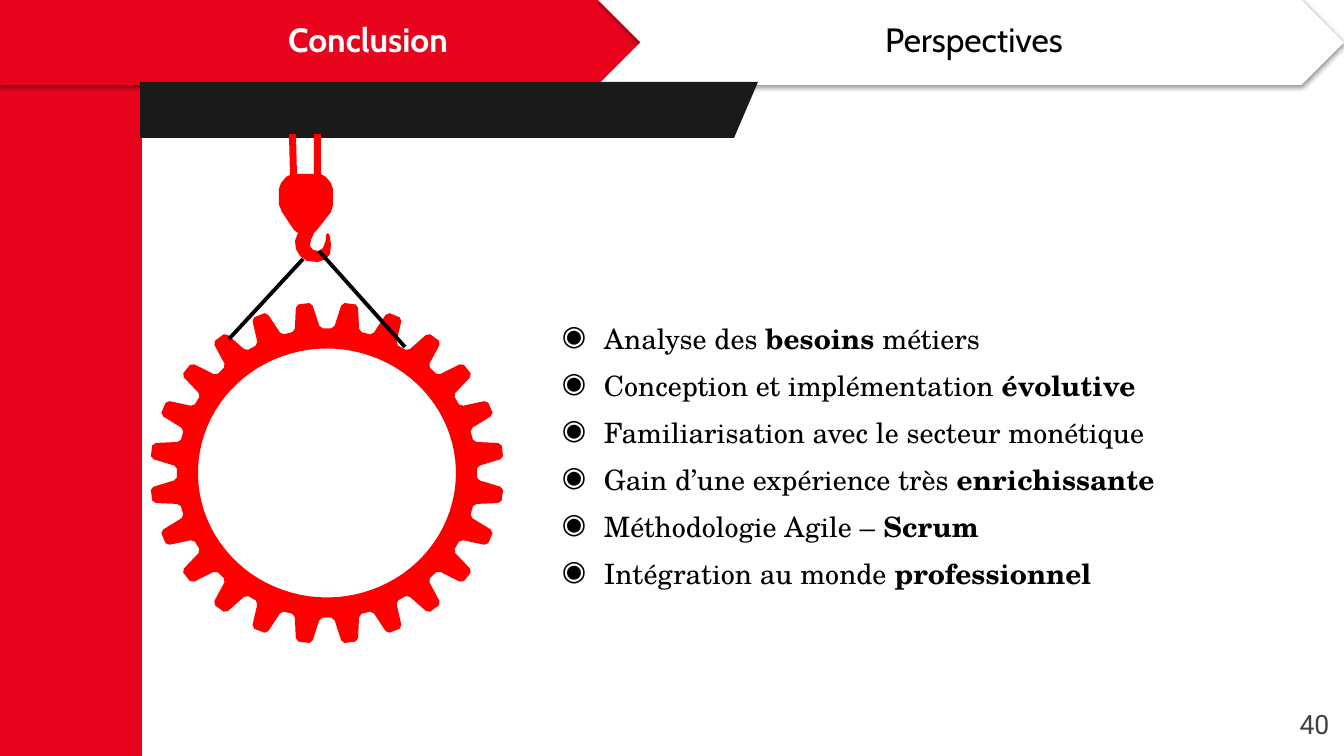
from math import cos, radians, sin

from lxml.etree import SubElement
from pptx import Presentation
from pptx.dml.color import RGBColor
from pptx.enum.shapes import MSO_CONNECTOR as Connector, MSO_SHAPE as Shape
from pptx.enum.text import MSO_ANCHOR as Anchor, PP_ALIGN as Align
from pptx.oxml.ns import qn
from pptx.util import Pt

PX = 914400 / 100.8
COLORS = {
    "banner": "E9041E",
    "white": "FFFFFF",
    "beam": "1A1A1A",
    "gear": "FF0000",
    "ink": "010101",
    "body": "000000",
    "number": "414141",
}
BEAM = [(140, 82), (758, 82), (734, 138), (140, 138)]
HOOK = [
    (289, 134), (296, 134), (297, 174), (314, 174), (314, 134), (321, 134),
    (321, 174), (326, 177), (331, 183), (333, 189), (333, 205), (331, 212),
    (317, 230), (314, 233), (311, 240), (310, 246), (313, 250), (319, 251),
    (323, 248), (326, 240), (326, 235), (328, 233), (330, 236), (331, 245),
    (330, 254), (326, 259), (318, 262), (307, 261), (300, 256), (296, 249),
    (295, 241), (298, 233), (294, 230), (282, 212), (279, 205), (279, 189),
    (281, 183), (286, 177), (290, 175),
]
GEAR_CENTER = (327, 473)
GEAR_FLATTENING = 0.965
TOOTH_COUNT = 24
TOOTH_PROFILE = [
    (-5.8, 150), (-4.6, 153), (-3.2, 169), (-2.8, 174), (-1.8, 177),
    (1.8, 177), (2.8, 174), (3.2, 169), (4.6, 153), (5.8, 150),
]
HOLE_RADIUS = 129
CABLES = [((229, 339), (303, 259)), ((405, 347), (319, 251))]
BULLETS = [
    ("Analyse des ", "besoins", " métiers"),
    ("Conception et implémentation ", "évolutive"),
    ("Familiarisation avec le secteur monétique",),
    ("Gain d’une expérience très ", "enrichissante"),
    ("Méthodologie Agile – ", "Scrum"),
    ("Intégration au monde ", "professionnel"),
]


def emu(*lengths):
    return [round(length * PX) for length in lengths]


def color(name):
    return RGBColor.from_string(COLORS[name])


def paint(shape, fill):
    shape.shadow.inherit = False
    shape.fill.solid()
    shape.fill.fore_color.rgb = color(fill)
    shape.line.fill.background()
    return shape


def add_block(slide, kind, box, fill):
    return paint(slide.shapes.add_shape(kind, *emu(*box)), fill)


def add_outline(slide, contours, fill):
    first, *others = [[emu(*point) for point in contour] for contour in contours]
    builder = slide.shapes.build_freeform(*first[0], scale=1.0)
    builder.add_line_segments(first[1:], close=True)
    for contour in others:
        builder.move_to(*contour[0])
        builder.add_line_segments(contour[1:], close=True)
    return paint(builder.convert_to_shape(), fill)


def add_soft_shadow(shape):
    effects = shape._element.spPr.find(qn("a:effectLst"))
    shadow = SubElement(effects, qn("a:outerShdw"), blurRad=str(Pt(3)),
                        dist=str(Pt(1.6)), dir="5400000", algn="ctr", rotWithShape="0")
    tint = SubElement(shadow, qn("a:srgbClr"), val=COLORS["body"])
    SubElement(tint, qn("a:alpha"), val="38000")


def add_banner(slide, kind, box):
    banner = add_block(slide, kind, box, "banner" if kind == Shape.PENTAGON else "white")
    banner.adjustments[0] = 0.5
    add_soft_shadow(banner)
    return banner


def set_frame(shape, margin, anchor, wrap=True):
    frame = shape.text_frame
    frame.word_wrap = wrap
    frame.vertical_anchor = anchor
    frame.margin_left = frame.margin_right = frame.margin_top = frame.margin_bottom = emu(margin)[0]
    return frame


def format_run(run, font, size, ink, bold=False):
    run.font.name = font
    run.font.size = Pt(size)
    run.font.bold = bold
    run.font.color.rgb = color(ink)


def write_label(shape, text, font, size, ink, bold=False, margin=3,
                anchor=Anchor.MIDDLE, wrap=True):
    frame = set_frame(shape, margin, anchor, wrap)
    frame.text = text
    paragraph = frame.paragraphs[0]
    paragraph.alignment = Align.CENTER
    format_run(paragraph.runs[0], font, size, ink, bold)
    return paragraph


def polar(angle, radius):
    x, y = GEAR_CENTER
    turn = radians(angle)
    return x + radius * sin(turn), y - radius * GEAR_FLATTENING * cos(turn)


def add_gear(slide):
    pitch = 360 / TOOTH_COUNT
    rim = [polar((tooth + 0.5) * pitch + offset, radius)
           for tooth in range(TOOTH_COUNT) for offset, radius in TOOTH_PROFILE]
    hole = [polar(-angle, HOLE_RADIUS) for angle in range(0, 360, 4)]
    add_outline(slide, [rim, hole], "gear")


def add_cable(slide, start, end):
    cable = slide.shapes.add_connector(Connector.STRAIGHT, *emu(*start, *end))
    cable.line.color.rgb = color("ink")
    cable.line.width = Pt(2.75)
    SubElement(cable._element.spPr, qn("a:effectLst"))


def add_bullets(slide, box):
    frame = set_frame(slide.shapes.add_textbox(*emu(*box)), 6, Anchor.MIDDLE)
    for index, segments in enumerate(BULLETS):
        paragraph = frame.add_paragraph() if index else frame.paragraphs[0]
        properties = paragraph._p.get_or_add_pPr()
        margin, indent = emu(50, -42)
        properties.set("marL", str(margin))
        properties.set("indent", str(indent))
        bullet_color = SubElement(properties, qn("a:buClr"))
        SubElement(bullet_color, qn("a:srgbClr"), val=COLORS["body"])
        SubElement(properties, qn("a:buChar"), char="◉")
        paragraph.line_spacing = 1.15
        if index:
            paragraph.space_before = Pt(6)
        for position, segment in enumerate(segments):
            run = paragraph.add_run()
            run.text = segment
            format_run(run, "TeX Gyre Schola", 20, "body", bold=position == 1)


def main():
    """Build the conclusion slide and save it."""
    presentation = Presentation()
    presentation.slide_width, presentation.slide_height = emu(1344, 756)
    slide = presentation.slides.add_slide(presentation.slide_layouts[5])

    add_block(slide, Shape.RECTANGLE, (0, 0, 142, 756), "banner")
    current = add_banner(slide, Shape.PENTAGON, (0, 0, 746, 85))
    title = slide.shapes.title
    title.left, title.top, title.width, title.height = emu(11, 18, 714, 47)
    write_label(title, "Conclusion", "Cabin", 24, "white", bold=True).line_spacing = 0.9
    current._element.addnext(title._element)
    add_banner(slide, Shape.CHEVRON, (598, 0, 746, 85))
    upcoming = slide.shapes.add_textbox(*emu(647, 18, 654, 47))
    write_label(upcoming, "Perspectives", "Cabin", 24, "ink").line_spacing = 0.9

    add_outline(slide, [BEAM], "beam")
    add_gear(slide)
    add_outline(slide, [HOOK], "gear")
    for start, end in CABLES:
        add_cable(slide, start, end)

    add_bullets(slide, (548, 182, 758, 543))
    number = slide.shapes.add_textbox(*emu(1294, 703, 41, 42))
    write_label(number, "40", "Roboto", 19, "number", margin=5, anchor=Anchor.TOP, wrap=False)
    presentation.save("out.pptx")


if __name__ == "__main__":
    main()
